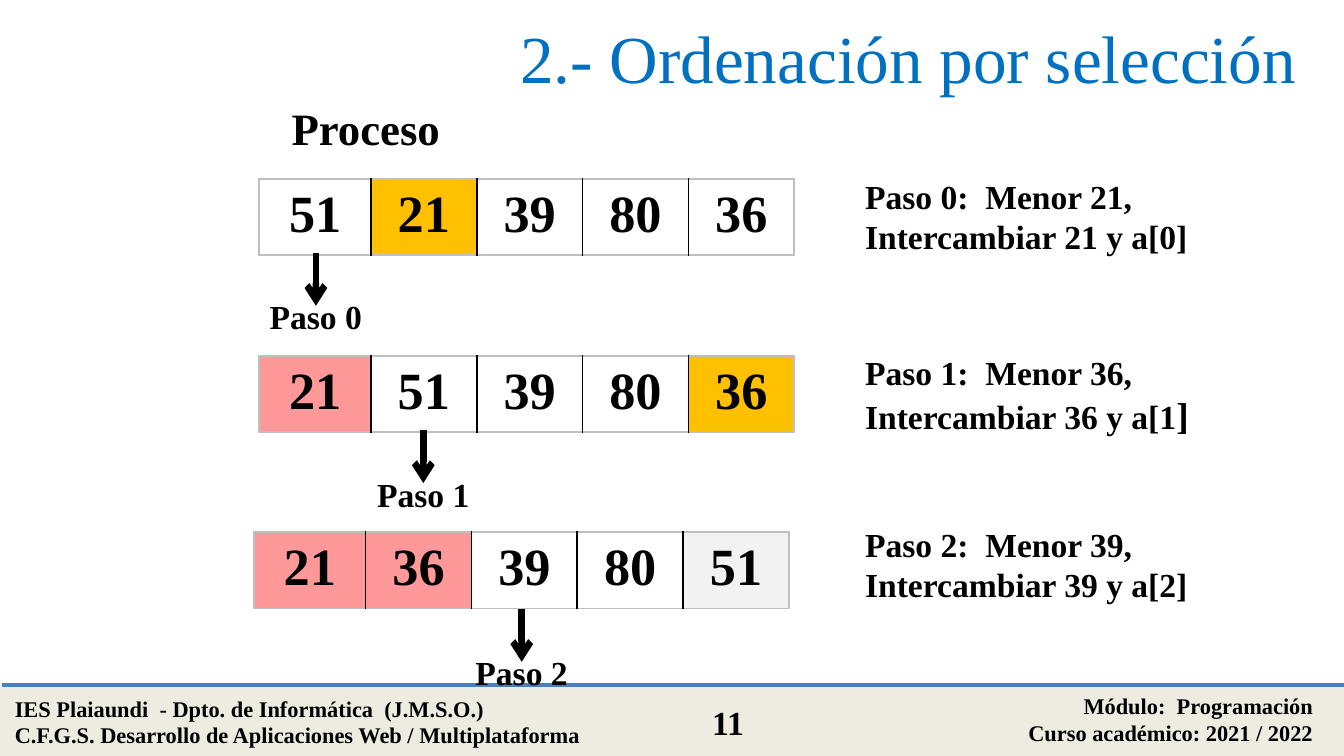
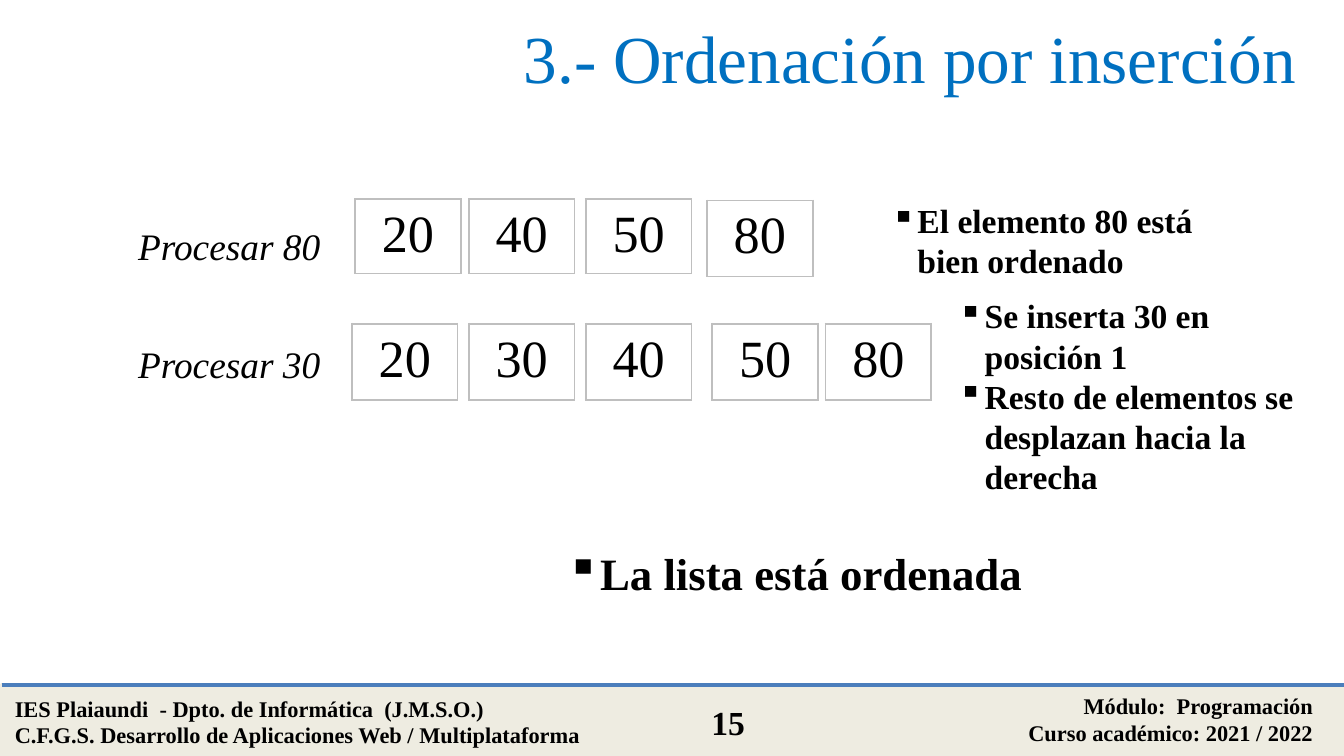
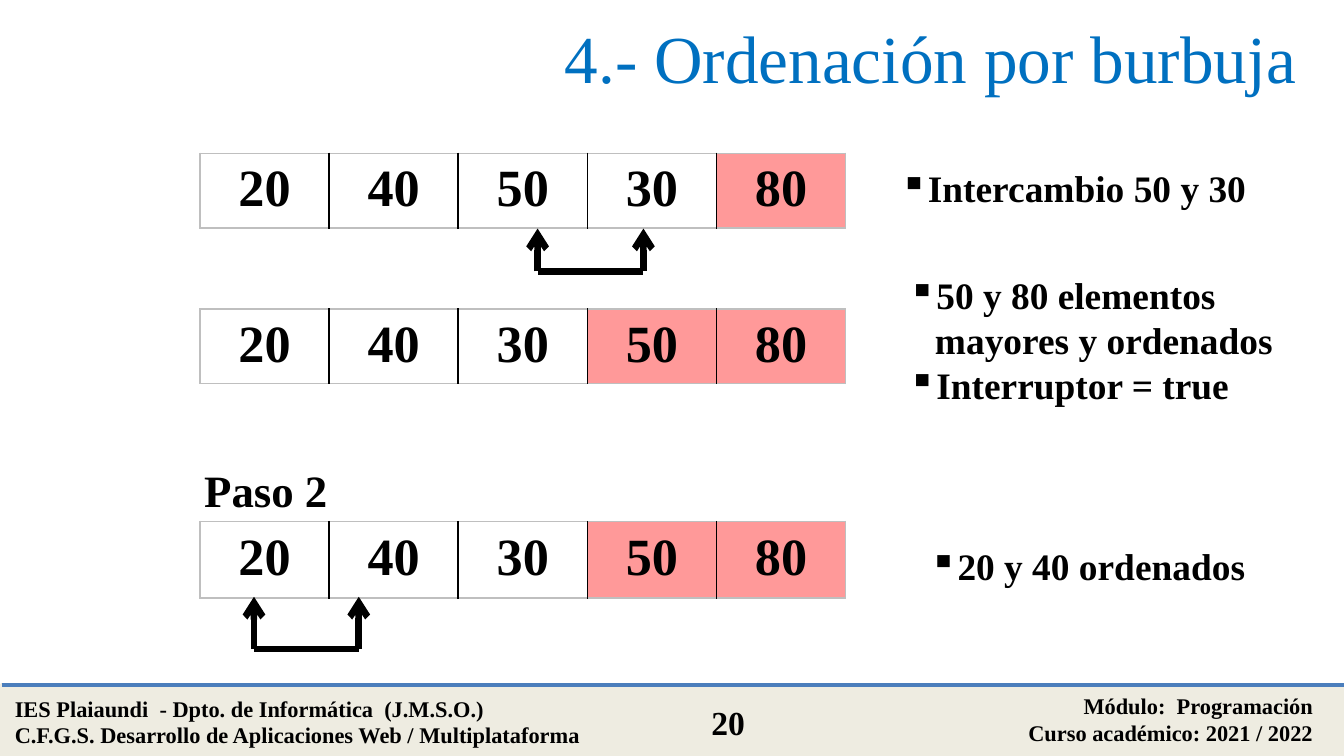
import dataclasses

import lxml.etree
import pptx
import pptx.dml.color
import pptx.enum.shapes
import pptx.enum.text
import pptx.oxml.ns
import pptx.util

Cm = pptx.util.Cm
Pt = pptx.util.Pt
RGB = pptx.dml.color.RGBColor.from_string
qn = pptx.oxml.ns.qn
ALIGN = pptx.enum.text.PP_ALIGN


@dataclasses.dataclass(frozen=True)
class Theme:
    font: str = "Times New Roman"
    title_blue: str = "0070C0"
    ink: str = "000000"
    band: str = "EEECE1"
    band_line: str = "4B7EBC"
    frame: str = "BFBFBF"
    white: str = "FFFFFF"
    smallest: str = "FFC000"
    ordered: str = "FF9999"
    pale: str = "F2F2F2"
    title_size: int = 36
    number_size: int = 28
    heading_size: int = 24
    large_size: int = 20
    body_size: int = 18
    footer_size: int = 12


theme = Theme()


def add_text(shapes, box, lines, size, align=ALIGN.LEFT, bold=True, italic=False,
             bullet=False, top_inset=0.2):
    """Add a text box, one paragraph for each line; box is in centimetres."""
    shape = shapes.add_textbox(*map(Cm, box))
    frame = shape.text_frame
    frame.word_wrap = True
    frame.margin_top = Cm(top_inset)
    for index, line in enumerate(lines):
        paragraph = frame.add_paragraph() if index else frame.paragraphs[0]
        paragraph.alignment = align
        if bullet:
            properties = paragraph._p.get_or_add_pPr()
            properties.set("marL", str(Cm(0.5)))
            properties.set("indent", str(Cm(-0.5)))
            lxml.etree.SubElement(properties, qn("a:buChar"), char="▪")
        run = paragraph.add_run()
        run.text = line
        run.font.name = theme.font
        run.font.size = Pt(size)
        run.font.bold = bold
        run.font.italic = italic
        run.font.color.rgb = RGB(theme.ink)
    return shape


def add_line(shapes, start, end, color=theme.ink, width=3.5, arrow=True):
    """Add a straight line between two points in centimetres."""
    line = shapes.add_connector(pptx.enum.shapes.MSO_CONNECTOR.STRAIGHT,
                                *map(Cm, (*start, *end)))
    line.line.color.rgb = RGB(color)
    line.line.width = Pt(width)
    if arrow:
        lxml.etree.SubElement(line.line._get_or_add_ln(), qn("a:tailEnd"), type="arrow")
    lxml.etree.SubElement(line._element.spPr, qn("a:effectLst"))


presentation = pptx.Presentation()
presentation.slide_width = Cm(25.4)
presentation.slide_height = Cm(14.29)

# Shared footer and title
slides = []
for title, number in [("2.- Ordenación por selección ", "11"),
                      ("3.- Ordenación por inserción ", "15"),
                      ("4.- Ordenación por burbuja ", "20")]:
    slide = presentation.slides.add_slide(presentation.slide_layouts[5])
    slides.append(slide)

    footer = slide.shapes.add_group_shape().shapes
    band = footer.add_shape(pptx.enum.shapes.MSO_SHAPE.RECTANGLE,
                            Cm(0.03), Cm(12.95), Cm(25.4), Cm(1.32))
    band.shadow.inherit = False
    band.fill.solid()
    band.fill.fore_color.rgb = RGB(theme.band)
    band.line.color.rgb = RGB(theme.band)
    band.line.width = Pt(2)
    add_line(footer, (0.03, 12.95), (25.43, 12.95), theme.band_line, 2, arrow=False)
    add_text(footer, (0.03, 13, 11.84, 1.27),
             ["IES Plaiaundi  - Dpto. de Informática  (J.M.S.O.)",
              "C.F.G.S. Desarrollo de Aplicaciones Web / Multiplataforma"],
             theme.footer_size, top_inset=0.13)
    add_text(footer, (14.91, 12.95, 10.16, 1.27),
             ["Módulo:  Programación", "Curso académico: 2021 / 2022"],
             theme.footer_size, ALIGN.RIGHT, top_inset=0.13)
    add_text(footer, (12.73, 13.13, 2.06, 1.02), [number],
             theme.body_size, ALIGN.CENTER, top_inset=0.13)

    heading = slide.shapes.title
    heading.left, heading.top, heading.width, heading.height = map(Cm, (0.03, 0, 25.04, 2.13))
    heading.text_frame.auto_size = pptx.enum.text.MSO_AUTO_SIZE.NONE
    heading.text_frame.vertical_anchor = pptx.enum.text.MSO_ANCHOR.MIDDLE
    paragraph = heading.text_frame.paragraphs[0]
    paragraph.alignment = ALIGN.RIGHT
    run = paragraph.add_run()
    run.text = title
    run.font.name = theme.font
    run.font.size = Pt(theme.title_size)
    run.font.color.rgb = RGB(theme.title_blue)

selection, insertion, bubble = slides

# Number rows: slide, left, top, height, column widths, numbers, fills by column
selection_widths = [2.11] + [2] * 4
bubble_widths = [2.44] * 5
last_two = {3: theme.ordered, 4: theme.ordered}
number_rows = [
    (selection, 4.9, 3.38, 1.44, selection_widths, [51, 21, 39, 80, 36],
     {0: theme.white, 1: theme.smallest}),
    (selection, 4.9, 6.73, 1.44, selection_widths, [21, 51, 39, 80, 36],
     {0: theme.ordered, 1: theme.white, 4: theme.smallest}),
    (selection, 4.8, 10.06, 1.44, selection_widths, [21, 36, 39, 80, 51],
     {0: theme.ordered, 1: theme.ordered, 4: theme.pale}),
    (bubble, 3.78, 2.9, 1.36, bubble_widths, [20, 40, 50, 30, 80],
     {0: theme.white, 4: theme.ordered}),
    (bubble, 3.78, 5.84, 1.36, bubble_widths, [20, 40, 30, 50, 80],
     {0: theme.white, **last_two}),
    (bubble, 3.78, 9.86, 1.44, bubble_widths, [20, 40, 30, 50, 80], last_two),
]
for left, top, height, number in [
        (6.71, 3.76, 1.36, 20), (8.86, 3.76, 1.36, 40), (11.07, 3.76, 1.36, 50),
        (13.36, 3.79, 1.44, 80),
        (6.65, 6.12, 1.44, 20), (8.86, 6.12, 1.44, 30), (11.07, 6.12, 1.44, 40),
        (13.46, 6.12, 1.44, 50), (15.6, 6.12, 1.44, 80)]:
    number_rows.append((insertion, left, top, height, [2], [number], {}))

for slide, left, top, height, widths, numbers, fills in number_rows:
    table = slide.shapes.add_table(1, len(numbers), Cm(left), Cm(top),
                                   Cm(sum(widths)), Cm(height)).table
    table.first_row = False
    table.horz_banding = False
    table.rows[0].height = Cm(height)
    last = len(numbers) - 1
    for column, (width, number) in enumerate(zip(widths, numbers)):
        table.columns[column].width = Cm(width)
        cell = table.cell(0, column)
        cell.margin_top, cell.margin_bottom = Cm(0.13), Cm(0.09)

        # Grey outer frame, black dividers
        for side, color in [("lnL", theme.ink if column > 0 else theme.frame),
                            ("lnR", theme.ink if column < last else theme.frame),
                            ("lnT", theme.frame), ("lnB", theme.frame)]:
            border = lxml.etree.SubElement(cell._tc.get_or_add_tcPr(), qn("a:" + side),
                                           w=str(Pt(1)))
            solid = lxml.etree.SubElement(border, qn("a:solidFill"))
            lxml.etree.SubElement(solid, qn("a:srgbClr"), val=color)

        if column in fills:
            cell.fill.solid()
            cell.fill.fore_color.rgb = RGB(fills[column])
        else:
            cell.fill.background()
        paragraph = cell.text_frame.paragraphs[0]
        paragraph.alignment = ALIGN.CENTER
        run = paragraph.add_run()
        run.text = str(number)
        run.font.name = theme.font
        run.font.size = Pt(theme.number_size)
        run.font.bold = slide is not insertion
        run.font.color.rgb = RGB(theme.ink)

# Selection sort: heading, step arrows and explanations
add_text(selection.shapes, (5.26, 1.78, 5.21, 1.27), ["Proceso"],
         theme.heading_size, ALIGN.JUSTIFY, top_inset=0.13)
for step, (arrow_x, arrow_top, note_top, smallest) in enumerate([
        (5.97, 4.78, 3.12, 21), (8, 8.13, 6.45, 36), (9.86, 11.51, 9.7, 39)]):
    add_text(selection.shapes, (arrow_x - 1.4, arrow_top + 0.62, 2.8, 1.09),
             [f"Paso {step}"], theme.body_size, ALIGN.CENTER)
    add_line(selection.shapes, (arrow_x, arrow_top), (arrow_x, arrow_top + 1))
    note = add_text(selection.shapes, (16.1, note_top, 8.41, 1.88),
                    [f"Paso {step}:  Menor {smallest},",
                     f"Intercambiar {smallest} y a[{step}"], theme.body_size)
    run = note.text_frame.paragraphs[1].add_run()
    run.text = "]"
    run.font.name = theme.font
    run.font.size = Pt(theme.large_size if step == 1 else theme.body_size)
    run.font.bold = True
    run.font.color.rgb = RGB(theme.ink)

# Insertion sort: row labels
for top, label in [(4.01, "Procesar 80"), (6.25, "Procesar 30")]:
    add_text(insertion.shapes, (2.36, top, 4.29, 1.19), [label],
             theme.large_size, bold=False, italic=True)

# Bubble sort: heading and exchange brackets
add_text(bubble.shapes, (3.61, 8.61, 21.41, 1.27), ["Paso 2"],
         theme.heading_size, ALIGN.JUSTIFY, top_inset=0.13)
for left, right, top, bottom in [(10.16, 12.16, 4.32, 5.13), (4.8, 6.78, 11.28, 12.27)]:
    bracket = bubble.shapes.add_group_shape().shapes
    for x in (left, right):
        add_line(bracket, (x, bottom), (x, top))
    add_line(bracket, (left, bottom), (right, bottom), arrow=False)

# Bulleted explanations
for slide, box, size, lines in [
        (insertion, (16.59, 3.58, 7.49, 1.88), theme.body_size,
         ["El elemento 80 está bien ordenado"]),
        (insertion, (17.86, 5.38, 7.21, 4.17), theme.body_size,
         ["Se inserta 30 en posición 1",
          "Resto de elementos se desplazan hacia la derecha"]),
        (insertion, (10.46, 10.11, 10.01, 1.35), theme.heading_size,
         ["La lista está ordenada"]),
        (bubble, (16.76, 2.92, 7.8, 1.19), theme.large_size, ["Intercambio 50 y 30"]),
        (bubble, (16.92, 4.95, 8.15, 2.9), theme.large_size,
         ["50 y 80 elementos mayores y ordenados", "Interruptor = true"]),
        (bubble, (17.32, 10.06, 6.83, 1.19), theme.large_size, ["20 y 40 ordenados"])]:
    add_text(slide.shapes, box, lines, size, bullet=True)

presentation.save("out.pptx")
